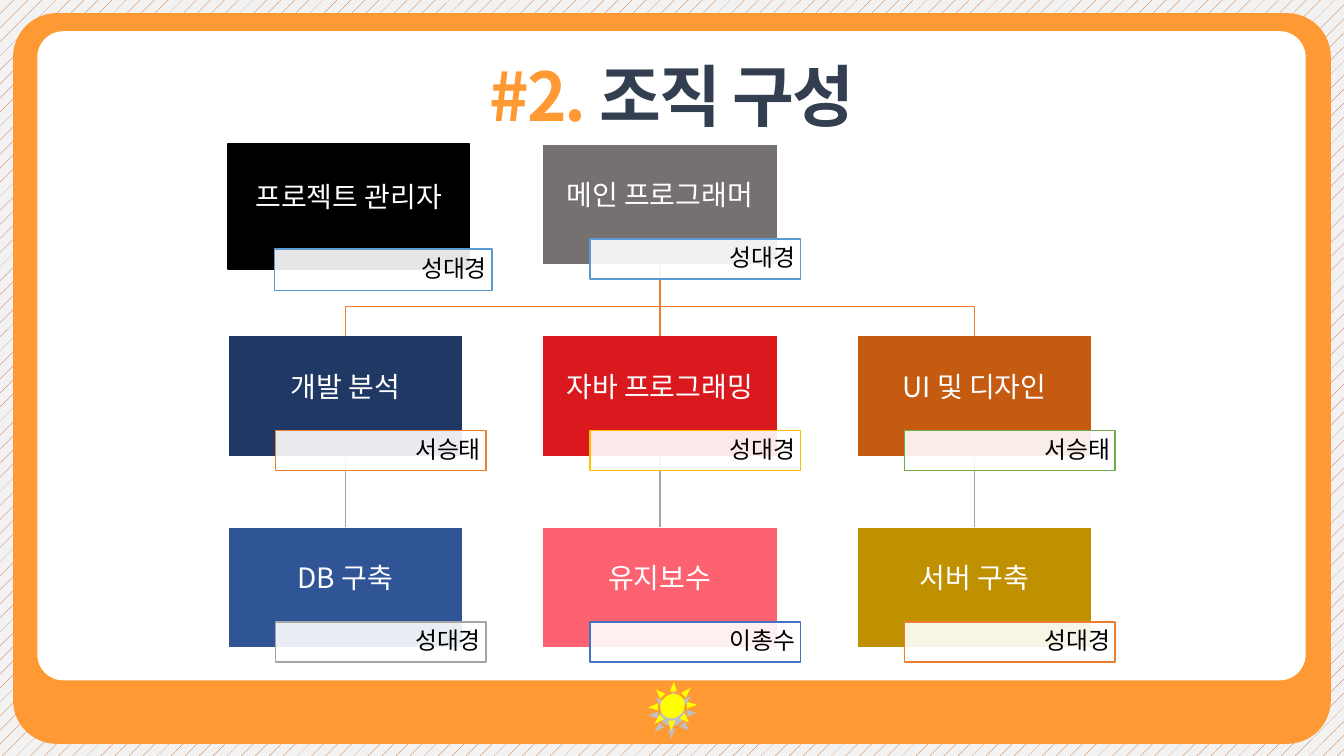
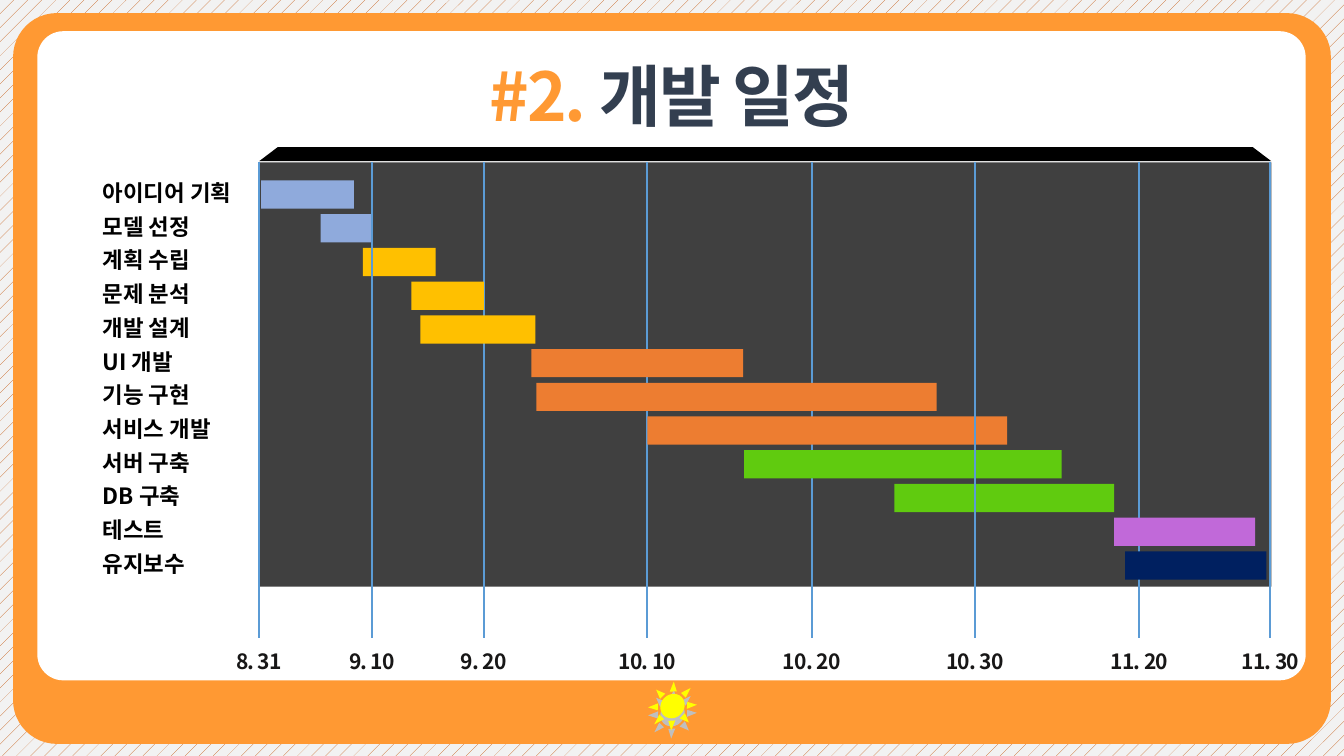
"""Build the team organisation and development schedule slides."""
from dataclasses import dataclass
from typing import NamedTuple

from lxml import etree
from pptx import Presentation
from pptx import util as u
from pptx.dml import color
from pptx.enum import dml, shapes, text
from pptx.oxml import ns


@dataclass(frozen=True)
class Theme:
    """Colours, font and type sizes of the deck."""
    font: str = "Noto Sans CJK KR"
    orange: str = "FF9933"
    navy: str = "333F50"
    white: str = "FFFFFF"
    black: str = "000000"
    paper: str = "F2F2F2"
    hatch: str = "C55A11"
    sun: str = "FFFF00"
    sun_shade: str = "BFBFBF"
    branch: str = "ED7D31"
    twig: str = "A5A5A5"
    plot: str = "404040"
    grid: str = "5B9BD5"
    date: str = "181717"
    title_size: int = 48
    role_size: int = 20
    member_size: int = 17
    task_size: int = 16
    date_size: int = 15


class Box(NamedTuple):
    """A rectangle in inches."""
    x: float
    y: float
    w: float
    h: float

    def emu(self):
        """Return the four lengths for python-pptx."""
        return [u.Inches(v) for v in self]


THEME = Theme()
KIND = shapes.MSO_SHAPE
ALIGN = text.PP_ALIGN
CARD_W, CARD_H, COLUMN_PITCH, ROW_PITCH = 2.33, 1.2, 3.12, 1.9

ROLES = {
    (1, 0): ("메인 프로그래머", "767171", "성대경", "5B9BD5"),
    (0, 1): ("개발 분석", "203864", "서승태", "ED7D31"),
    (0, 2): ("DB 구축", "2F5597", "성대경", "A5A5A5"),
    (1, 1): ("자바 프로그래밍", "D9191E", "성대경", "FFC000"),
    (1, 2): ("유지보수", "FD6270", "이총수", "4472C4"),
    (2, 1): ("UI 및 디자인", "C55A11", "서승태", "70AD47"),
    (2, 2): ("서버 구축", "BF9000", "성대경", "ED7D31"),
}

TASKS = [
    ("아이디어 기획", 0.02, 0.92, "8FAADC"),
    ("모델 선정", 0.61, 0.51, "8FAADC"),
    ("계획 수립", 1.03, 0.72, "FFC000"),
    ("문제 분석", 1.51, 0.72, "FFC000"),
    ("개발 설계", 1.6, 1.14, "FFC000"),
    ("UI 개발", 2.7, 2.1, "ED7D31"),
    ("기능 구현", 2.75, 3.97, "ED7D31"),
    ("서비스 개발", 3.85, 3.57, "ED7D31"),
    ("서버 구축", 4.81, 3.15, "60CB0F"),
    ("DB 구축", 6.3, 2.18, "60CB0F"),
    ("테스트", 8.48, 1.4, "C169D9"),
    ("유지보수", 8.59, 1.4, "002060"),
]

DATES = [
    ("8. 31", 0, True), ("9. 10", 1.12, True), ("9. 20", 2.23, False),
    ("10. 10", 3.85, False), ("10. 20", 5.48, False), ("10. 30", 7.1, True),
    ("11. 20", 8.73, False), ("11. 30", 10.03, False),
]


def rgb(value):
    """Turn RRGGBB into a colour."""
    return color.RGBColor.from_string(value)


def add_run(paragraph, words, size, ink, bold=False, spacing=0):
    """Add one run in the deck font."""
    run = paragraph.add_run()
    run.text = words
    run.font.name = THEME.font
    run.font.size = u.Pt(size)
    run.font.bold = bold
    run.font.color.rgb = rgb(ink)
    properties = run._r.get_or_add_rPr()
    etree.SubElement(properties, ns.qn("a:ea"), typeface=THEME.font)
    if spacing:
        properties.set("spc", str(round(spacing * 100)))


def set_frame(frame, insets, align):
    """Set insets and alignment of a vertically centred text frame."""
    frame.word_wrap = True
    frame.vertical_anchor = text.MSO_ANCHOR.MIDDLE
    (frame.margin_left, frame.margin_top,
     frame.margin_right, frame.margin_bottom) = map(u.Inches, insets)
    frame.paragraphs[0].alignment = align
    return frame.paragraphs[0]


def add_panel(parent, kind, box, fill, line=None, adjust=None, alpha=None):
    """Add a flat preset shape."""
    panel = parent.add_shape(kind, *box.emu())
    panel.shadow.inherit = False
    panel.fill.solid()
    panel.fill.fore_color.rgb = rgb(fill)
    if alpha is not None:
        tint = panel._element.spPr.find(".//" + ns.qn("a:srgbClr"))
        etree.SubElement(tint, ns.qn("a:alpha"), val=str(alpha * 1000))
    if line:
        panel.line.color.rgb = rgb(line)
        panel.line.width = u.Pt(1)
    else:
        panel.line.fill.background()
    if adjust is not None:
        panel.adjustments[0] = adjust
    return panel


def add_label(slide, box, words, size, ink, insets, align, spacing=0):
    """Add a bold one-line text box."""
    label = slide.shapes.add_textbox(*box.emu())
    paragraph = set_frame(label.text_frame, insets, align)
    add_run(paragraph, words, size, ink, True, spacing)


def add_line(slide, start, end, ink, width):
    """Add a straight connector without shadow."""
    line = slide.shapes.add_connector(
        shapes.MSO_CONNECTOR.STRAIGHT, *map(u.Inches, (*start, *end)))
    line.line.color.rgb = rgb(ink)
    line.line.width = u.Pt(width)
    etree.SubElement(line._element.spPr, ns.qn("a:effectLst"))
    return line


def add_framed_slide(deck, heading):
    """Add a slide with hatched ground, orange frame, sun and title."""
    slide = deck.slides.add_slide(deck.slide_layouts.get_by_name("Title Only"))
    ground = slide.background.fill
    ground.patterned()
    ground.pattern = dml.MSO_PATTERN.PERCENT_5
    ground.fore_color.rgb = rgb(THEME.hatch)
    ground.back_color.rgb = rgb(THEME.paper)
    for box, fill, corner in (
            (Box(0.13, 0.13, 13.07, 7.25), THEME.orange, 0.06),
            (Box(0.37, 0.31, 12.58, 6.44), THEME.white, 0.04)):
        add_panel(slide.shapes, KIND.ROUNDED_RECTANGLE, box, fill, adjust=corner)
    emblem = slide.shapes.add_group_shape()
    for top, fill in ((6.83, THEME.sun_shade), (6.75, THEME.sun)):
        sun = add_panel(emblem.shapes, KIND.SUN, Box(6.44, top, 0.46, 0.51), fill)
        sun.rotation = 45
    add_title(slide, Box(4.03, 0.49, 5.27, 0.89), heading)
    return slide


def add_title(slide, box, heading):
    """Place the numbered title above the frame."""
    title = slide.shapes.title
    slide.shapes._spTree.append(title._element)
    title.left, title.top, title.width, title.height = box.emu()
    paragraph = set_frame(title.text_frame, (0.1, 0.05, 0.1, 0.05), ALIGN.CENTER)
    title.text_frame.auto_size = text.MSO_AUTO_SIZE.SHAPE_TO_FIT_TEXT
    for words, ink in (("#2. ", THEME.orange), (heading, THEME.navy)):
        add_run(paragraph, words, THEME.title_size, ink, True, -1.5)


def add_card(slide, box, role, fill, line=THEME.white):
    """Add a role card."""
    card = add_panel(slide.shapes, KIND.RECTANGLE, box, fill, line)
    paragraph = set_frame(card.text_frame, (0.01, 0.01, 0.01, 0.17), ALIGN.CENTER)
    paragraph.line_spacing = 0.9
    add_run(paragraph, role, THEME.role_size, THEME.white)
    return card


def add_member(slide, box, member, line):
    """Add the translucent name tag of a card."""
    tag = add_panel(slide.shapes, KIND.RECTANGLE, box, THEME.white, line, alpha=90)
    paragraph = set_frame(tag.text_frame, (0.05, 0.01, 0.05, 0.01), ALIGN.RIGHT)
    paragraph.line_spacing = 0.9
    add_run(paragraph, member, THEME.member_size, THEME.black)


def add_branch(slide, parent, child):
    """Draw a bent line from a card's bottom to a card's top."""
    start_x = parent.left + parent.width // 2
    end_x = child.left + child.width // 2
    start_y = parent.top + parent.height
    bend_y = start_y + u.Inches(0.41)
    path = slide.shapes.build_freeform(start_x, start_y)
    path.add_line_segments(
        [(start_x, bend_y), (end_x, bend_y), (end_x, child.top)], close=False)
    branch = path.convert_to_shape()
    branch.shadow.inherit = False
    branch.fill.background()
    branch.line.color.rgb = rgb(THEME.branch)
    branch.line.width = u.Pt(1)


def join_cards(slide, parent, child, ink):
    """Join two stacked cards with a straight connector."""
    link = add_line(slide, (0, 0), (1, 1), ink, 1)
    link.begin_connect(parent, 2)
    link.end_connect(child, 0)


def draw_organisation(slide, left, top):
    """Draw the chart of roles and the manager beside it."""
    places = {
        (column, row): Box(left + column * COLUMN_PITCH, top + row * ROW_PITCH,
                           CARD_W, CARD_H)
        for column, row in ROLES}
    cards = {cell: add_card(slide, places[cell], role, fill)
             for cell, (role, fill, _, _) in ROLES.items()}
    lead = cards[1, 0]
    for column in (0, 2):
        add_branch(slide, lead, cards[column, 1])
    join_cards(slide, lead, cards[1, 1], THEME.branch)
    for column in range(3):
        join_cards(slide, cards[column, 1], cards[column, 2], THEME.twig)
    for cell, (_, _, member, line) in ROLES.items():
        place = places[cell]
        add_member(slide, Box(place.x + 0.47, place.y + 0.94, 2.09, 0.4),
                   member, line)
    add_card(slide, Box(left, top, 2.4, 1.24), "프로젝트 관리자",
             THEME.black, THEME.black)
    add_member(slide, Box(left + 0.46, top + 1.04, 2.16, 0.41),
               "성대경", THEME.grid)


def draw_gridlines(slide, plot, in_front):
    """Draw the date lines that lie in front of or behind the bars."""
    for _, offset, front in DATES:
        if front == in_front:
            x = plot.x + offset
            add_line(slide, (x, plot.y), (x, plot.y + 4.72), THEME.grid, 1.5)


def draw_schedule(slide, plot):
    """Draw the schedule's plot, bars, tasks and dates."""
    add_panel(slide.shapes, KIND.TRAPEZOID,
              Box(plot.x, plot.y - 0.15, plot.w, 0.14), THEME.black, adjust=1.32)
    add_panel(slide.shapes, KIND.RECTANGLE, plot, THEME.plot)
    draw_gridlines(slide, plot, False)
    pitch = 3.68 / (len(TASKS) - 1)
    for index, (task, offset, length, fill) in enumerate(TASKS):
        y = plot.y + 0.18 + index * pitch
        add_panel(slide.shapes, KIND.RECTANGLE,
                  Box(plot.x + offset, y, length, 0.28), fill)
        add_label(slide, Box(plot.x - 1.55, y - 0.02, 1.5, 0.28), task,
                  THEME.task_size, THEME.black, (0, 0, 0, 0), ALIGN.LEFT)
    draw_gridlines(slide, plot, True)
    for date, offset, _ in DATES:
        add_label(slide, Box(plot.x + offset - 0.48, plot.y + 4.76, 0.96, 0.37),
                  date, THEME.date_size, THEME.date, (0.1, 0.05, 0.1, 0.05),
                  ALIGN.CENTER, -0.5)


def main():
    """Build and save the deck."""
    deck = Presentation()
    deck.slide_width, deck.slide_height = u.Inches(13.33), u.Inches(7.5)
    draw_organisation(add_framed_slide(deck, "조직 구성"), 2.26, 1.43)
    draw_schedule(add_framed_slide(deck, "개발 일정"), Box(2.57, 1.61, 10.04, 4.21))
    deck.save("out.pptx")


if __name__ == "__main__":
    main()
